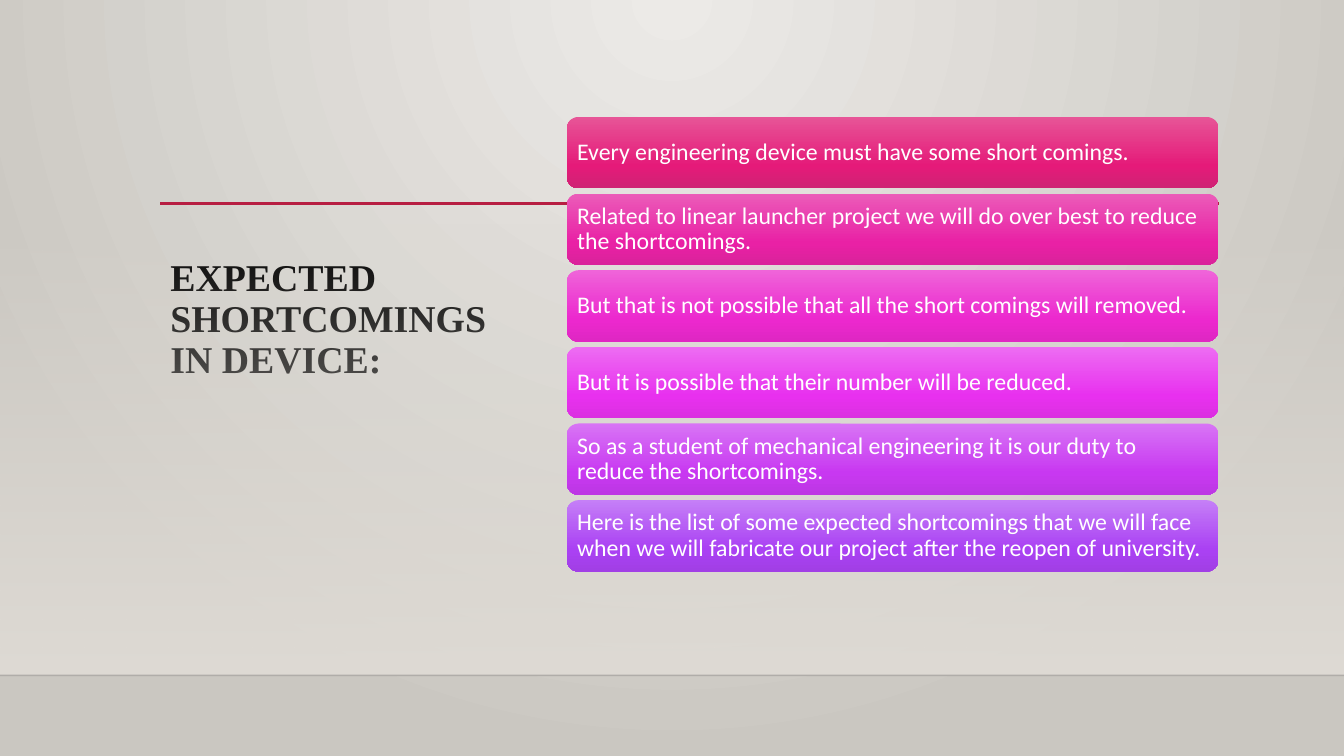
from lxml.etree import SubElement
from pptx import Presentation
from pptx.dml.color import RGBColor
from pptx.enum.shapes import MSO_CONNECTOR, MSO_SHAPE
from pptx.enum.text import MSO_ANCHOR, MSO_AUTO_SIZE, PP_ALIGN
from pptx.oxml import parse_xml
from pptx.oxml.ns import nsdecls, qn
from pptx.util import Pt

VERTICAL = '<a:lin ang="5400000" scaled="0"/>'
FROM_TOP_CENTRE = ('<a:path path="circle">'
                   '<a:fillToRect l="43000" t="0" r="43000" b="100000"/></a:path>')


def color(hex_code):
    """Return the colour for a hex string."""
    return RGBColor.from_string(hex_code)


def set_gradient(properties, stops, direction=VERTICAL):
    """Replace a solid fill by a gradient of (percent, hex, opacity) stops."""
    stop_xml = "".join(
        f'<a:gs pos="{percent * 1000}"><a:srgbClr val="{hex_code}">'
        f'<a:alpha val="{opacity * 1000}"/></a:srgbClr></a:gs>'
        for percent, hex_code, opacity in stops)
    gradient = parse_xml(f'<a:gradFill {nsdecls("a")} rotWithShape="1">'
                         f'<a:gsLst>{stop_xml}</a:gsLst>{direction}</a:gradFill>')
    properties.replace(properties.find(qn("a:solidFill")), gradient)


presentation = Presentation()
presentation.slide_width, presentation.slide_height = Pt(960), Pt(540)
slide = presentation.slides.add_slide(presentation.slide_layouts[5])
shapes = slide.shapes

# Background and the soft band above the floor
slide.background.fill.solid()
set_gradient(slide.element.find(".//" + qn("p:bgPr")),
             [(0, "ECEAE7", 100), (100, "CAC7C1", 100)], FROM_TOP_CENTRE)
wall = shapes.add_shape(MSO_SHAPE.RECTANGLE, 0, Pt(159), Pt(960), Pt(323.4))
wall.shadow.inherit = False
wall.line.fill.background()
wall.fill.solid()
set_gradient(wall.element.spPr, [(0, "DFDBD5", 0), (100, "DFDBD5", 100)])

# Floor edge and red rule
for left, right, y, hex_code, width, opacity in [
        (0, 960, 482.4, "000001", 1, 20),
        (114.5, 871, 145.4, "B71E42", 2.5, 100)]:
    rule = shapes.add_connector(MSO_CONNECTOR.STRAIGHT, Pt(left), Pt(y), Pt(right), Pt(y))
    rule.line.color.rgb = color(hex_code)
    rule.line.width = Pt(width)
    rule_color = rule.element.spPr.find(".//" + qn("a:srgbClr"))
    SubElement(rule_color, qn("a:alpha"), val=str(opacity * 1000))
    SubElement(rule.element.spPr, qn("a:effectLst"))

# Title
title = shapes.title
title.left, title.top, title.width, title.height = Pt(114.5), Pt(181.4), Pt(258), Pt(210)
title.text = "EXPECTED SHORTCOMINGS IN DEVICE:"
title_frame = title.text_frame
title_frame.word_wrap = True
title_frame.auto_size = MSO_AUTO_SIZE.NONE
title_frame.vertical_anchor = MSO_ANCHOR.TOP
paragraph = title_frame.paragraphs[0]
paragraph.alignment = PP_ALIGN.LEFT
paragraph.line_spacing = 0.9
paragraph.font.name = "Times New Roman"
paragraph.font.size = Pt(27)
paragraph.font.bold = True
paragraph.font.color.rgb = color("000000")

# Statement bars: text, then top, middle and bottom colours
statements = [
    ("Every engineering device must have some short comings.",
     "E75597", "E51A79", "CF2374"),
    ("Related to linear launcher project we will do over best to reduce the shortcomings.",
     "EB5CB9", "E921A5", "DA229B"),
    ("But that is not possible that all the short comings will removed.",
     "EF64D9", "EC28CE", "DF27C3"),
    ("But it is possible that their number will be reduced.",
     "ED6DF2", "E830EF", "DB2FE1"),
    ("So as a student of mechanical engineering it is our duty to reduce the shortcomings.",
     "D875F5", "C838F1", "BD37E4"),
    ("Here is the list of some expected shortcomings that we will face when we will "
     "fabricate our project after the reopen of university.",
     "C57FF7", "AA41F3", "A13FE5"),
]
BAR_TOP, BAR_HEIGHT, BAR_PITCH = 83.5, 51, 54.75
for index, (text, top_color, middle_color, bottom_color) in enumerate(statements):
    bar = shapes.add_shape(MSO_SHAPE.ROUNDED_RECTANGLE, Pt(404.8),
                           Pt(BAR_TOP + index * BAR_PITCH), Pt(465.6), Pt(BAR_HEIGHT))
    bar.shadow.inherit = False
    bar.line.fill.background()
    bar.fill.solid()
    set_gradient(bar.element.spPr, [(0, top_color, 100), (69, middle_color, 100),
                                    (100, bottom_color, 100)])
    text_frame = bar.text_frame
    text_frame.text = text
    text_frame.word_wrap = True
    text_frame.vertical_anchor = MSO_ANCHOR.MIDDLE
    # The rounded corners add about 2.5 pt to these margins
    text_frame.margin_left = text_frame.margin_right = Pt(5)
    text_frame.margin_top = text_frame.margin_bottom = Pt(5)
    paragraph = text_frame.paragraphs[0]
    paragraph.alignment = PP_ALIGN.LEFT
    paragraph.line_spacing = 0.9
    paragraph.font.name = "Calibri"
    paragraph.font.size = Pt(17)
    paragraph.font.color.rgb = color("FFFFFF")

presentation.save("out.pptx")
